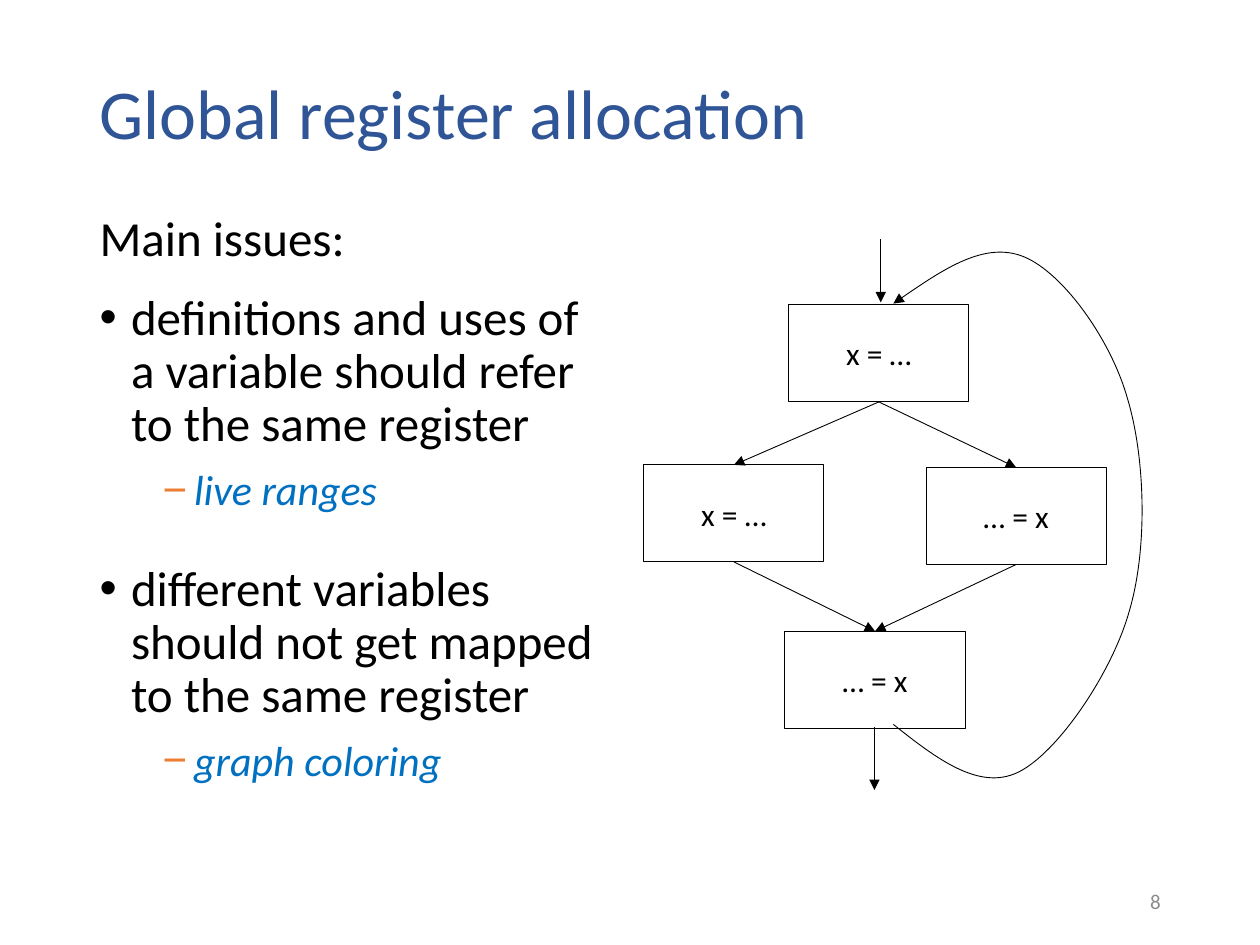
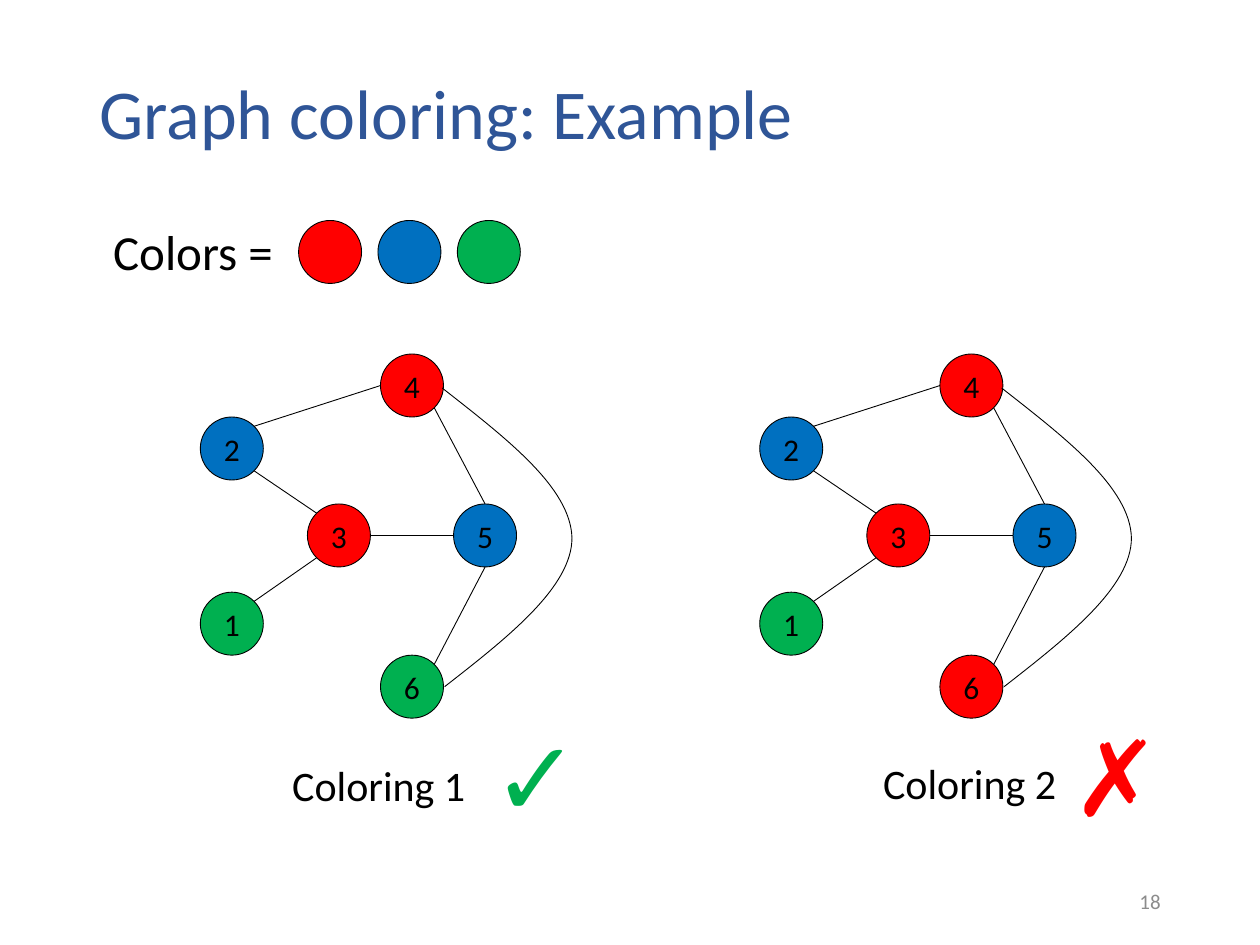
"""Builds two slides on register allocation and graph coloring."""
import dataclasses
import math

import lxml.etree
import pptx
import pptx.dml.color
import pptx.enum.shapes
import pptx.enum.text
import pptx.oxml.ns
import pptx.util

Inches = pptx.util.Inches
Pt = pptx.util.Pt
qn = pptx.oxml.ns.qn
SHAPE = pptx.enum.shapes.MSO_SHAPE
ALIGN = pptx.enum.text.PP_ALIGN
ANCHOR = pptx.enum.text.MSO_ANCHOR
AUTO_SIZE = pptx.enum.text.MSO_AUTO_SIZE


@dataclasses.dataclass(frozen=True)
class Theme:
    """Colours, font and type sizes of the deck."""
    font: str = "Calibri"
    ink: str = "000000"
    title: str = "2F5597"
    muted: str = "8C8C8C"
    accent: str = "ED7D31"
    red: str = "FF0000"
    blue: str = "0070C0"
    green: str = "00B050"
    title_size: int = 40
    body_size: int = 28
    detail_size: int = 24
    label_size: int = 18
    number_size: int = 12
    mark_size: int = 60
    line_width: float = 0.5


THEME = Theme()
NODE_SIZE = 0.5
NODES = {4: (3.02, 2.81), 2: (1.59, 3.31), 5: (3.6, 4), 3: (2.44, 4), 1: (1.59, 4.7), 6: (3.02, 5.2)}
EDGES = [(2, 45, 4, 180), (2, -45, 3, 135), (3, 0, 5, 180),
         (5, 90, 4, -45), (1, 45, 3, -135), (6, 45, 5, -90)]
OUTER_EDGE = [(3.51, 3.08), (4.02, 3.48), (4.53, 3.87), (4.54, 4.27),
              (4.54, 4.66), (4.03, 5.06), (3.53, 5.45)]
LOOP = [(7.09, 5.75), (7.43, 6.02), (7.77, 6.28), (8.08, 6.13),
        (8.39, 5.98), (8.82, 5.35), (8.96, 4.86),
        (9.11, 4.36), (9.09, 3.64), (8.95, 3.17),
        (8.82, 2.7), (8.44, 2.17), (8.13, 2.04),
        (7.82, 1.91), (7.45, 2.16), (7.09, 2.41)]


def rgb(code):
    """Return the colour object for a hex code."""
    return pptx.dml.color.RGBColor.from_string(code)


def write(para, text, size=THEME.label_size, color=THEME.ink, italic=False, align=ALIGN.LEFT):
    """Add formatted text to a paragraph."""
    para.alignment = align
    span = para.add_run()
    span.text = text
    span.font.name = THEME.font
    span.font.size = Pt(size)
    span.font.italic = italic
    span.font.color.rgb = rgb(color)


def place(box, left, top, width, height):
    """Move and size a box given in inches."""
    box.left, box.top = Inches(left), Inches(top)
    box.width, box.height = Inches(width), Inches(height)


def add_label(page, text, left, top, width, height, **style):
    """Add an unwrapped text box."""
    box = page.shapes.add_textbox(Inches(left), Inches(top), Inches(width), Inches(height))
    box.text_frame.word_wrap = False
    box.text_frame.auto_size = AUTO_SIZE.SHAPE_TO_FIT_TEXT
    write(box.text_frame.paragraphs[0], text, **style)


def add_page(deck, layout, title, number):
    """Add a page with its title and page number."""
    page = deck.slides.add_slide(deck.slide_layouts.get_by_name(layout))
    heading = page.shapes.title
    place(heading, 0.69, 0.4, 8.62, 1.05)
    heading.text_frame.vertical_anchor = ANCHOR.MIDDLE
    heading.text_frame.auto_size = AUTO_SIZE.NONE
    para = heading.text_frame.paragraphs[0]
    para.line_spacing = 0.9
    write(para, title, size=THEME.title_size, color=THEME.title)
    box = page.shapes.add_textbox(Inches(7.06), Inches(6.95), Inches(2.25), Inches(0.4))
    box.text_frame.word_wrap = True
    box.text_frame.vertical_anchor = ANCHOR.MIDDLE
    write(box.text_frame.paragraphs[0], str(number), size=THEME.number_size,
          color=THEME.muted, align=ALIGN.RIGHT)
    return page


def set_bullet(para, mark=None, indent=0.0, color=None):
    """Give a paragraph a hanging bullet, or none."""
    props = para._p.get_or_add_pPr()
    props.set("marL", str(Inches(indent)))
    props.set("indent", str(Inches(-0.25 if mark else 0)))
    if color:
        holder = lxml.etree.SubElement(props, qn("a:buClr"))
        lxml.etree.SubElement(holder, qn("a:srgbClr"), val=color)
    if mark:
        lxml.etree.SubElement(props, qn("a:buFont"), typeface="Arial")
        lxml.etree.SubElement(props, qn("a:buChar"), char=mark)
    else:
        lxml.etree.SubElement(props, qn("a:buNone"))


def add_item(frame, text, level=0, bullet=True, after=5):
    """Add one line of the issue list."""
    para = frame.paragraphs[0] if not frame.text else frame.add_paragraph()
    para.level = level
    para.line_spacing = 0.9
    para.space_before = Pt(5 if level else 10)
    para.space_after = Pt(after)
    if level:
        write(para, text, size=THEME.detail_size, color=THEME.blue, italic=True)
        set_bullet(para, "\u2212", 0.75, THEME.accent)
    else:
        write(para, text, size=THEME.body_size)
        set_bullet(para, "\u2022" if bullet else None, 0.25 if bullet else 0)


def outline(shape, arrow=False):
    """Draw a thin line without shadow, with an optional arrowhead."""
    shape.line.color.rgb = rgb(THEME.ink)
    shape.line.width = Pt(THEME.line_width)
    props = shape.element.spPr
    if arrow:
        lxml.etree.SubElement(props.find(qn("a:ln")), qn("a:tailEnd"), type="triangle")
    if props.find(qn("a:effectLst")) is None:
        lxml.etree.SubElement(props, qn("a:effectLst"))


def add_shape(page, kind, left, top, width, height, text="", fill=None):
    """Add an outlined shape with centred text."""
    shape = page.shapes.add_shape(kind, Inches(left), Inches(top), Inches(width), Inches(height))
    if fill:
        shape.fill.solid()
        shape.fill.fore_color.rgb = rgb(fill)
    else:
        shape.fill.background()
    outline(shape)
    if text:
        shape.text_frame.vertical_anchor = ANCHOR.MIDDLE
        write(shape.text_frame.paragraphs[0], text, align=ALIGN.CENTER)
    return shape


def add_node(page, left, top, fill, text=""):
    """Add a round graph node."""
    add_shape(page, SHAPE.OVAL, left, top, NODE_SIZE, NODE_SIZE, text, fill)


def add_line(page, start, end, arrow=False):
    """Add a straight line between two points in inches."""
    line = page.shapes.add_connector(pptx.enum.shapes.MSO_CONNECTOR.STRAIGHT,
                                     *(Inches(value) for value in (*start, *end)))
    outline(line, arrow)
    return line


def add_curve(page, points, arrow=False):
    """Add a curve through a start point and triples of Bezier points."""
    start, *others = [(Inches(x), Inches(y)) for x, y in points]
    builder = page.shapes.build_freeform(*start)
    builder.add_line_segments(others, close=False)
    curve = builder.convert_to_shape()
    steps = list(curve.element.iter(qn("a:lnTo")))
    for first in range(0, len(steps), 3):
        bend = lxml.etree.Element(qn("a:cubicBezTo"))
        steps[first].addprevious(bend)
        for step in steps[first:first + 3]:
            bend.append(step[0])
            step.getparent().remove(step)
    curve.fill.background()
    outline(curve, arrow)


def rim(node, angle):
    """Return the point on a node's rim at an angle in degrees."""
    left, top = NODES[node]
    radius, turn = NODE_SIZE / 2, math.radians(angle)
    return left + radius * (1 + math.cos(turn)), top + radius * (1 - math.sin(turn))


def add_graph(page, shift, colors):
    """Add the interference graph with one coloring."""
    for node, (left, top) in NODES.items():
        add_node(page, left + shift, top, colors[node], str(node))
    for source, leave, target, arrive in EDGES:
        (x1, y1), (x2, y2) = rim(source, leave), rim(target, arrive)
        add_line(page, (x1 + shift, y1), (x2 + shift, y2))
    add_curve(page, [(x + shift, y) for x, y in OUTER_EDGE])


def build_allocation(deck):
    """Build the page on global register allocation."""
    page = add_page(deck, "Title and Content", "Global register allocation", 8)
    body = page.placeholders[1]
    place(body, 0.69, 1.65, 4.25, 5.11)
    frame = body.text_frame
    frame.auto_size = AUTO_SIZE.NONE
    add_item(frame, "Main issues:", bullet=False)
    add_item(frame, "definitions and uses of a variable should refer to the same register")
    add_item(frame, "live ranges", level=1, after=18)
    add_item(frame, "different variables should not get mapped to the same register")
    add_item(frame, "graph coloring", level=1)

    define, use = "x = \u2026", "\u2026 = x"
    top, left, right, bottom = [
        add_shape(page, SHAPE.RECTANGLE, x, y, 1.43, 0.77, text)
        for x, y, text in [(6.26, 2.42, define), (5.11, 3.69, define),
                           (7.35, 3.71, use), (6.23, 5.01, use)]]
    for source, target in [(top, left), (top, right), (left, bottom), (right, bottom)]:
        arrow = add_line(page, (0, 0), (1, 1), arrow=True)
        arrow.begin_connect(source, 2)
        arrow.end_connect(target, 0)
    for x, y in [(6.99, 1.9), (6.94, 5.77)]:
        add_line(page, (x, y), (x, y + 0.5), arrow=True)
    add_curve(page, LOOP, arrow=True)


def build_coloring(deck):
    """Build the page comparing two colorings."""
    page = add_page(deck, "Title Only", "Graph coloring: Example", 18)
    red, blue, green = palette = THEME.red, THEME.blue, THEME.green
    valid = {1: green, 2: blue, 3: red, 4: red, 5: blue, 6: green}
    add_graph(page, 0, valid)
    add_graph(page, 4.44, {**valid, 6: red})
    add_label(page, "Colors = ", 0.8, 1.71, 1.57, 0.57, size=THEME.body_size)
    for index, color in enumerate(palette):
        add_node(page, 2.37 + 0.63 * index, 1.75, color)
    add_label(page, "\u2713", 3.81, 5.6, 0.85, 1.11, size=THEME.mark_size, color=green)
    add_label(page, "\u2717", 8.41, 5.6, 0.75, 1.11, size=THEME.mark_size, color=red)
    add_label(page, "Coloring 1", 2.22, 5.98, 1.59, 0.5, size=THEME.detail_size)
    add_label(page, "Coloring 2", 6.91, 5.96, 1.59, 0.5, size=THEME.detail_size)


def main():
    """Build and save the deck."""
    deck = pptx.Presentation()
    deck.slide_width, deck.slide_height = Inches(10), Inches(7.5)
    build_allocation(deck)
    build_coloring(deck)
    deck.save("out.pptx")


main()
